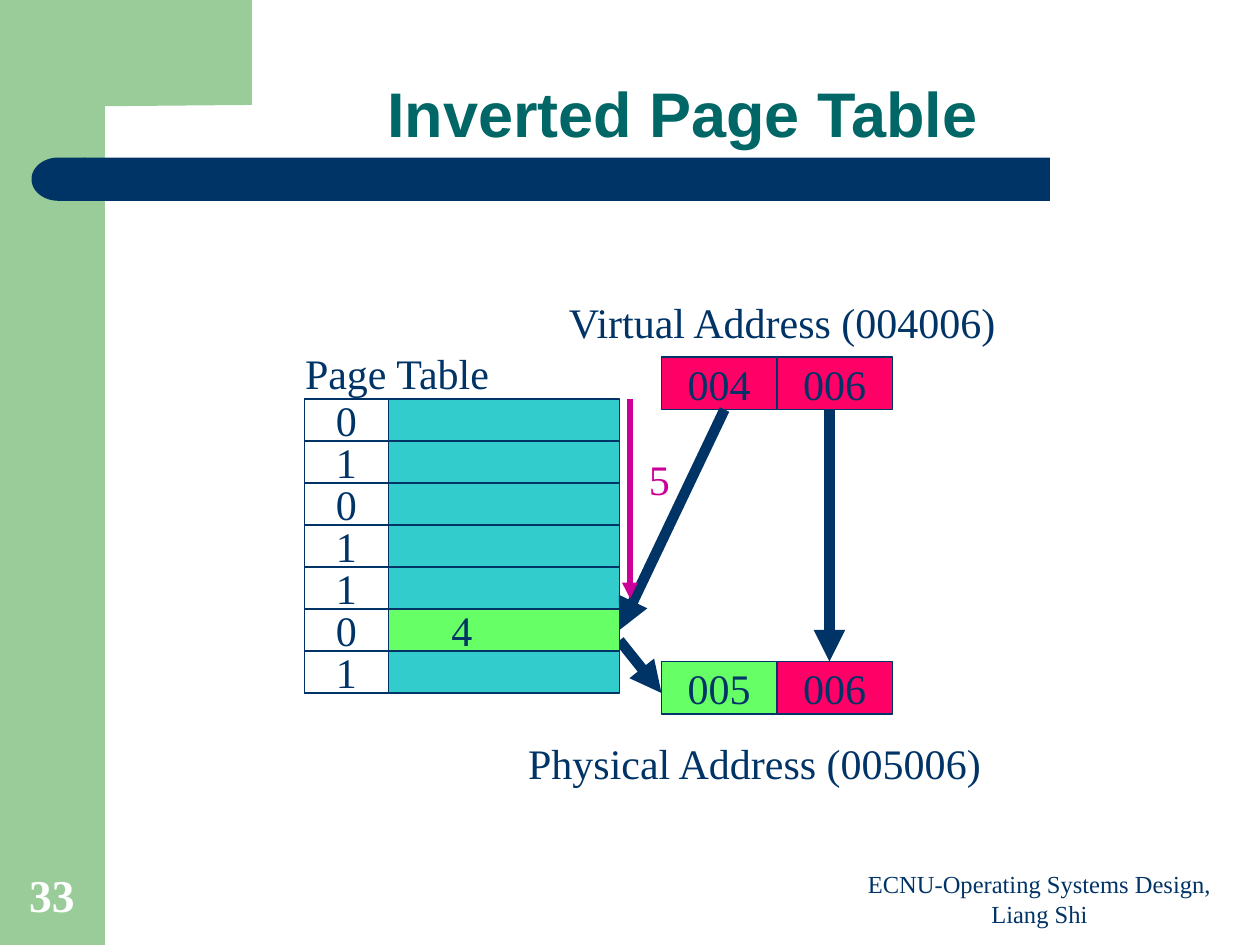
from dataclasses import dataclass
from typing import Optional

from pptx import Presentation
from pptx.dml.color import RGBColor
from pptx.enum.shapes import MSO_CONNECTOR, MSO_SHAPE
from pptx.enum.text import MSO_ANCHOR, PP_ALIGN
from pptx.oxml.ns import qn
from pptx.oxml.xmlchemy import OxmlElement
from pptx.util import Pt

PX = 9525
NAVY = RGBColor(0x00, 0x33, 0x66)
TEAL = RGBColor(0x00, 0x66, 0x66)
SAGE = RGBColor(0x99, 0xCC, 0x99)
CYAN = RGBColor(0x33, 0xCC, 0xCC)
GREEN = RGBColor(0x66, 0xFF, 0x66)
PINK = RGBColor(0xFF, 0x00, 0x66)
MAGENTA = RGBColor(0xCC, 0x00, 0x99)
WHITE = RGBColor(0xFF, 0xFF, 0xFF)
SERIF = "Times New Roman"
RECTANGLE = MSO_SHAPE.RECTANGLE
DELAY = MSO_SHAPE.FLOWCHART_DELAY
STRAIGHT = MSO_CONNECTOR.STRAIGHT
LEFT, CENTER = PP_ALIGN.LEFT, PP_ALIGN.CENTER
TOP, MIDDLE, BOTTOM = MSO_ANCHOR.TOP, MSO_ANCHOR.MIDDLE, MSO_ANCHOR.BOTTOM
RIGHT_SIDE = 3

TABLE_LEFT, TABLE_TOP = 232, 304
ROW_WIDTH, ROW_HEIGHT, BIT_WIDTH = 240, 32, 64
BITS = "0101101"
ACTIVE_ROW = 5
ADDRESS_LEFT, ADDRESS_WIDTH, ADDRESS_HEIGHT = 504, 88, 40
CORNER = [(192, 0), (192, 80), (80, 81), (78, 80), (74, 82), (70, 85), (68, 88),
          (66, 94), (65, 100), (64, 111), (64, 123), (48, 123), (48, 0)]


@dataclass(frozen=True)
class Box:
    left: int
    top: int
    width: int
    height: int
    fill: RGBColor
    text: str = ""
    outlined: bool = True
    preset: int = RECTANGLE


@dataclass(frozen=True)
class Label:
    left: int
    top: int
    width: int
    height: int
    text: str
    size: int = 24
    color: RGBColor = NAVY
    bold: bool = False
    align: int = LEFT
    anchor: int = TOP
    wrap: bool = False


@dataclass(frozen=True)
class Arrow:
    start: tuple[int, int]
    end: tuple[int, int]
    color: RGBColor = NAVY
    weight: int = 6


def write(shape, text: str, size: int, color: RGBColor, align: int, anchor: int,
          wrap: Optional[bool] = False, font: str = SERIF, bold: bool = False):
    frame = shape.text_frame
    frame.word_wrap = wrap
    frame.vertical_anchor = anchor
    para = frame.paragraphs[0]
    para.text = text
    para.alignment = align
    para.font.name = font
    para.font.size = Pt(size)
    para.font.bold = bold
    para.font.color.rgb = color
    return para


def paint(shape, fill: RGBColor, outlined: bool) -> None:
    shape.shadow.inherit = False
    shape.fill.solid()
    shape.fill.fore_color.rgb = fill
    if outlined:
        shape.line.color.rgb = NAVY
        shape.line.width = Pt(0.75)
    else:
        shape.line.fill.background()


def draw_box(shapes, box: Box):
    shape = shapes.add_shape(box.preset, box.left * PX, box.top * PX,
                             box.width * PX, box.height * PX)
    paint(shape, box.fill, box.outlined)
    if box.text:
        write(shape, box.text, 24, NAVY, CENTER, MIDDLE)
    return shape


def draw_label(shapes, label: Label) -> None:
    shape = shapes.add_textbox(label.left * PX, label.top * PX,
                               label.width * PX, label.height * PX)
    write(shape, label.text, label.size, label.color, label.align, label.anchor,
          label.wrap, bold=label.bold)


def draw_arrow(shapes, arrow: Arrow):
    connector = shapes.add_connector(
        STRAIGHT, *(value * PX for value in arrow.start + arrow.end))
    connector.line.color.rgb = arrow.color
    connector.line.width = Pt(arrow.weight)
    head = OxmlElement("a:tailEnd")
    head.set("type", "triangle")
    connector.line._get_or_add_ln().append(head)
    connector._element.spPr.append(OxmlElement("a:effectLst"))
    return connector


def draw_row(shapes, index: int, fill: RGBColor, text: str = ""):
    top = TABLE_TOP + index * ROW_HEIGHT
    row = draw_box(shapes, Box(TABLE_LEFT, top, ROW_WIDTH, ROW_HEIGHT, fill, text))
    draw_box(shapes, Box(TABLE_LEFT, top, BIT_WIDTH, ROW_HEIGHT, WHITE, BITS[index]))
    return row


def draw_address(shapes, top: int, parts: list[tuple[str, RGBColor]]) -> None:
    for index, (text, fill) in enumerate(parts):
        draw_box(shapes, Box(ADDRESS_LEFT + index * ADDRESS_WIDTH, top,
                             ADDRESS_WIDTH, ADDRESS_HEIGHT, fill, text))


def draw_frame(shapes) -> None:
    draw_box(shapes, Box(0, 0, 80, 720, SAGE, outlined=False))
    builder = shapes.build_freeform(*CORNER[0], scale=PX)
    builder.add_line_segments(CORNER[1:], close=True)
    paint(builder.convert_to_shape(), SAGE, False)
    draw_box(shapes, Box(64, 120, 736, 33, NAVY, outlined=False))
    cap = draw_box(shapes, Box(24, 120, 41, 33, NAVY, outlined=False, preset=DELAY))
    cap._element.spPr.find(qn("a:xfrm")).set("flipH", "1")


def draw_title(title) -> None:
    title.left, title.top = 104 * PX, 0
    title.width, title.height = 832 * PX, 120 * PX
    para = write(title, "Inverted Page Table", 36, TEAL, CENTER, BOTTOM,
                 True, "Arial", True)
    para.line_spacing = 0.9


def main() -> None:
    deck = Presentation()
    deck.slide_width, deck.slide_height = 960 * PX, 720 * PX
    page = deck.slides.add_slide(deck.slide_layouts[5])
    shapes = page.shapes
    draw_frame(shapes)
    draw_title(shapes.title)

    draw_address(shapes, 272, [("004", PINK), ("006", PINK)])
    draw_address(shapes, 504, [("005", GREEN), ("006", PINK)])
    for index in range(len(BITS)):
        if index != ACTIVE_ROW:
            draw_row(shapes, index, CYAN)

    draw_arrow(shapes, Arrow((632, 312), (632, 504)))
    lookup = draw_arrow(shapes, Arrow((552, 312), (472, 480)))
    draw_arrow(shapes, Arrow((472, 488), (504, 528)))
    draw_arrow(shapes, Arrow((480, 304), (480, 456), MAGENTA, 3))
    active = draw_row(shapes, ACTIVE_ROW, GREEN, "4")
    lookup.end_connect(active, RIGHT_SIDE)

    for label in (
        Label(223, 260, 162, 48, "Page Table"),
        Label(424, 221, 348, 48, "Virtual Address (004006)"),
        Label(393, 557, 366, 48, "Physical Address (005006)"),
        Label(485, 341, 35, 48, "5", color=MAGENTA),
        Label(640, 662, 304, 50, "ECNU-Operating Systems Design, Liang Shi", 14,
              align=CENTER, anchor=BOTTOM, wrap=True),
        Label(0, 656, 79, 51, "33", 26, WHITE, True, CENTER, BOTTOM, True),
    ):
        draw_label(shapes, label)
    deck.save("out.pptx")


if __name__ == "__main__":
    main()
